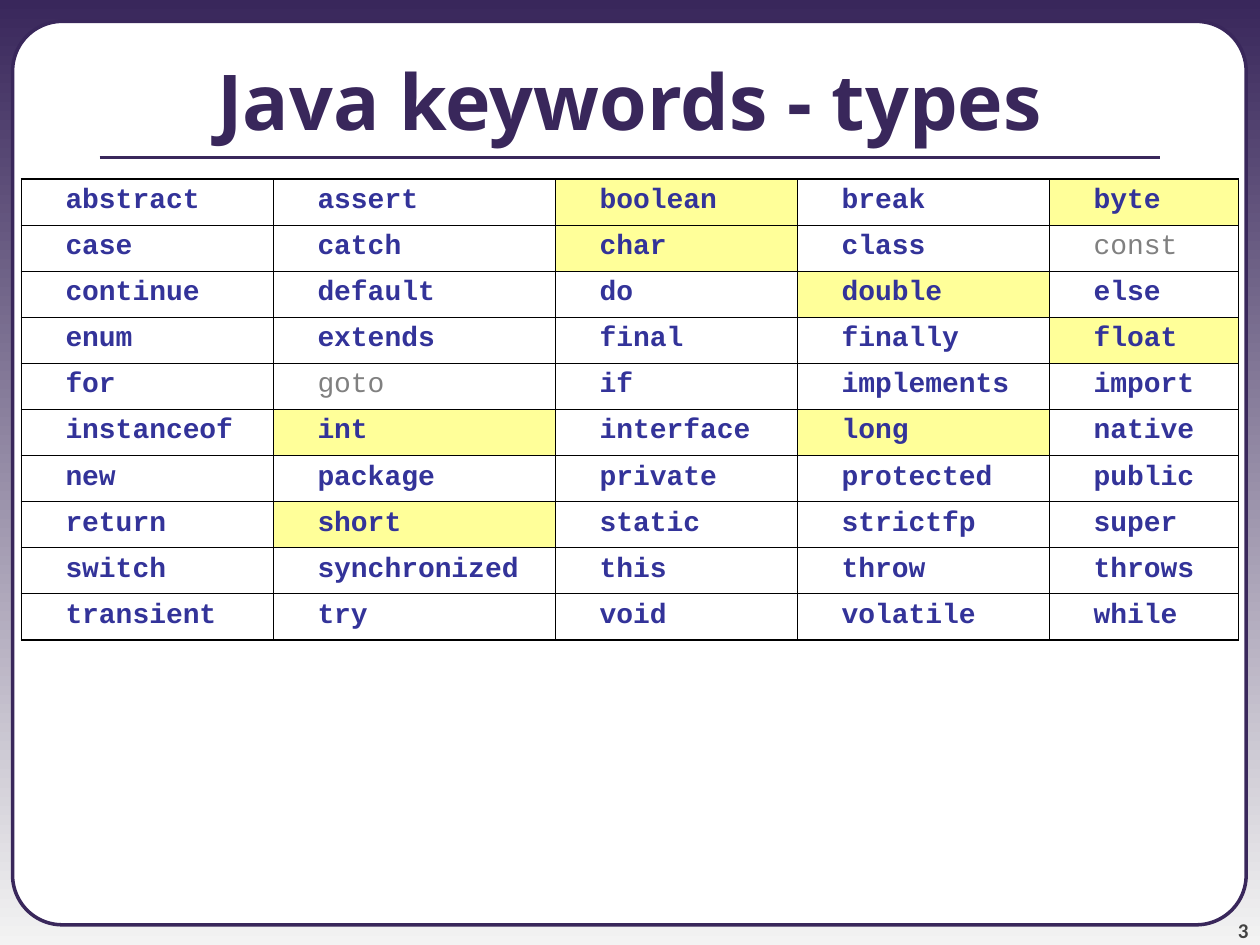
import dataclasses

import pptx
import pptx.dml.color
import pptx.enum.shapes
import pptx.enum.text
import pptx.oxml
import pptx.oxml.ns
import pptx.util

Inches = pptx.util.Inches
Pt = pptx.util.Pt
ALIGN = pptx.enum.text.PP_ALIGN
ANCHOR = pptx.enum.text.MSO_ANCHOR


@dataclasses.dataclass(frozen=True)
class Theme:
    # Colours
    purple: str = "39275B"
    pale: str = "F3F3F3"
    white: str = "FFFFFF"
    number: str = "424242"
    keyword: str = "333399"
    unused: str = "808080"
    highlight: str = "FFFF99"
    border: str = "000000"
    # Fonts and type sizes
    title_font: str = "Open Sans"
    code_font: str = "Courier New"
    number_font: str = "Calibri"
    title_size: int = 44
    code_size: int = 16
    number_size: int = 12
    # Line widths
    frame_width: float = 2
    rule_width: float = 2.25
    outer_width: float = 1.08
    inner_width: float = 0.45


def rgb(value):
    return pptx.dml.color.RGBColor.from_string(value)


class SlideBuilder:
    def __init__(self, slide, theme):
        self.slide = slide
        self.theme = theme

    def background(self):
        fill = self.slide.background.fill
        fill.gradient()
        fill.gradient_angle = 270
        for stop, colour in zip(fill.gradient_stops, (self.theme.purple, self.theme.pale)):
            stop.color.rgb = rgb(colour)

    def add_span(self, para, text, font, size, colour, bold=True):
        span = para.add_run()
        span.text = text
        span.font.name = font
        span.font.size = Pt(size)
        span.font.color.rgb = rgb(colour)
        span.font.bold = bold

    def panel(self, left, top, width, height, corner):
        panel = self.slide.shapes.add_shape(
            pptx.enum.shapes.MSO_SHAPE.ROUNDED_RECTANGLE,
            Inches(left), Inches(top), Inches(width), Inches(height))
        panel.adjustments[0] = corner
        panel.shadow.inherit = False
        panel.fill.solid()
        panel.fill.fore_color.rgb = rgb(self.theme.white)
        panel.line.color.rgb = rgb(self.theme.purple)
        panel.line.width = Pt(self.theme.frame_width)

    def title(self, text, left, top, width, height):
        title = self.slide.shapes.title
        title.left, title.top = Inches(left), Inches(top)
        title.width, title.height = Inches(width), Inches(height)
        frame = title.text_frame
        frame.auto_size = pptx.enum.text.MSO_AUTO_SIZE.NONE
        frame.vertical_anchor = ANCHOR.MIDDLE
        para = frame.paragraphs[0]
        para.alignment = ALIGN.CENTER
        self.add_span(para, text, self.theme.title_font, self.theme.title_size,
                      self.theme.purple)
        # Bring the title in front of the panel
        self.slide.shapes._spTree.append(title._element)

    def rule(self, left, right, top):
        rule = self.slide.shapes.add_connector(
            pptx.enum.shapes.MSO_CONNECTOR.STRAIGHT,
            Inches(left), Inches(top), Inches(right), Inches(top))
        rule.line.color.rgb = rgb(self.theme.purple)
        rule.line.width = Pt(self.theme.rule_width)
        rule._element.spPr.append(pptx.oxml.parse_xml(
            f'<a:effectLst {pptx.oxml.ns.nsdecls("a")}/>'))

    def page_number(self, text, left, top, width, height):
        box = self.slide.shapes.add_textbox(
            Inches(left), Inches(top), Inches(width), Inches(height))
        frame = box.text_frame
        frame.word_wrap = True
        frame.vertical_anchor = ANCHOR.BOTTOM
        frame.margin_left = frame.margin_right = 0
        frame.margin_top = frame.margin_bottom = 0
        para = frame.paragraphs[0]
        para.alignment = ALIGN.RIGHT
        self.add_span(para, text, self.theme.number_font, self.theme.number_size,
                      self.theme.number)

    def cell_borders(self, cell, outer_sides):
        properties = cell._tc.get_or_add_tcPr()
        for side in "LRTB":
            is_outer = side in outer_sides
            width = self.theme.outer_width if is_outer else self.theme.inner_width
            properties.append(pptx.oxml.parse_xml(
                f'<a:ln{side} {pptx.oxml.ns.nsdecls("a")} w="{int(Pt(width))}">'
                f'<a:solidFill><a:srgbClr val="{self.theme.border}"/></a:solidFill>'
                f'</a:ln{side}>'))

    def keyword_table(self, rows, types, unused, left, top, widths, height):
        last_row, last_column = len(rows) - 1, len(widths) - 1
        table = self.slide.shapes.add_table(
            len(rows), len(widths), Inches(left), Inches(top),
            Inches(sum(widths)), Inches(height)).table
        table.first_row = table.horz_banding = False
        for column, width in zip(table.columns, widths):
            column.width = Inches(width)

        for row_index, words in enumerate(rows):
            for column_index, word in enumerate(words):
                cell = table.cell(row_index, column_index)
                edges = {"L": column_index == 0, "R": column_index == last_column,
                         "T": row_index == 0, "B": row_index == last_row}
                self.cell_borders(cell, [side for side, outer in edges.items() if outer])
                if word in types:
                    cell.fill.solid()
                    cell.fill.fore_color.rgb = rgb(self.theme.highlight)
                else:
                    cell.fill.background()
                para = cell.text_frame.paragraphs[0]
                indent = para._p.get_or_add_pPr()
                indent.set("marL", str(int(Inches(0.25))))
                indent.set("indent", "0")
                is_used = word not in unused
                colour = self.theme.keyword if is_used else self.theme.unused
                self.add_span(para, word, self.theme.code_font, self.theme.code_size,
                              colour, bold=is_used)


KEYWORDS = [line.split() for line in (
    "abstract assert boolean break byte",
    "case catch char class const",
    "continue default do double else",
    "enum extends final finally float",
    "for goto if implements import",
    "instanceof int interface long native",
    "new package private protected public",
    "return short static strictfp super",
    "switch synchronized this throw throws",
    "transient try void volatile while",
)]
PRIMITIVE_TYPES = {"boolean", "byte", "char", "double", "float", "int", "long", "short"}
UNUSED_WORDS = {"const", "goto"}


def main():
    deck = pptx.Presentation()
    deck.slide_width, deck.slide_height = Inches(10), Inches(7.5)
    page = SlideBuilder(deck.slides.add_slide(deck.slide_layouts[5]), Theme())

    # Backdrop, page number and heading
    page.background()
    page.panel(0.1, 0.17, 9.79, 7.17, corner=0.055)
    page.page_number("3", 9.08, 7.08, 0.83, 0.4)
    page.rule(0.79, 9.21, 1.25)
    page.title("Java keywords - types", 0, 0.17, 10, 1.25)

    # Keywords, with the primitive types highlighted
    page.keyword_table(KEYWORDS, PRIMITIVE_TYPES, UNUSED_WORDS,
                       left=0.17, top=1.42, widths=[2, 2.24, 1.92, 2, 1.5], height=3.66)

    deck.save("out.pptx")


if __name__ == "__main__":
    main()
